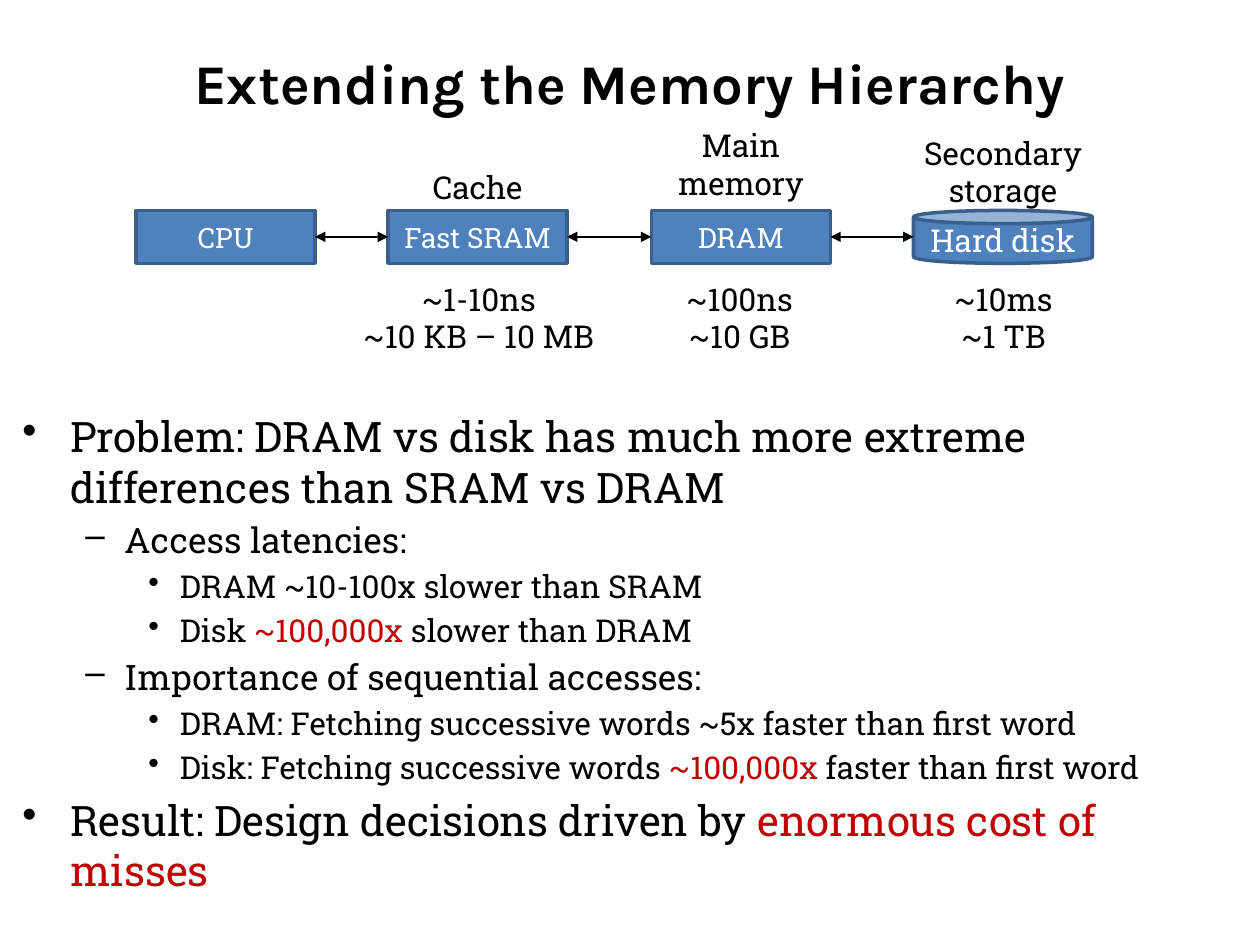
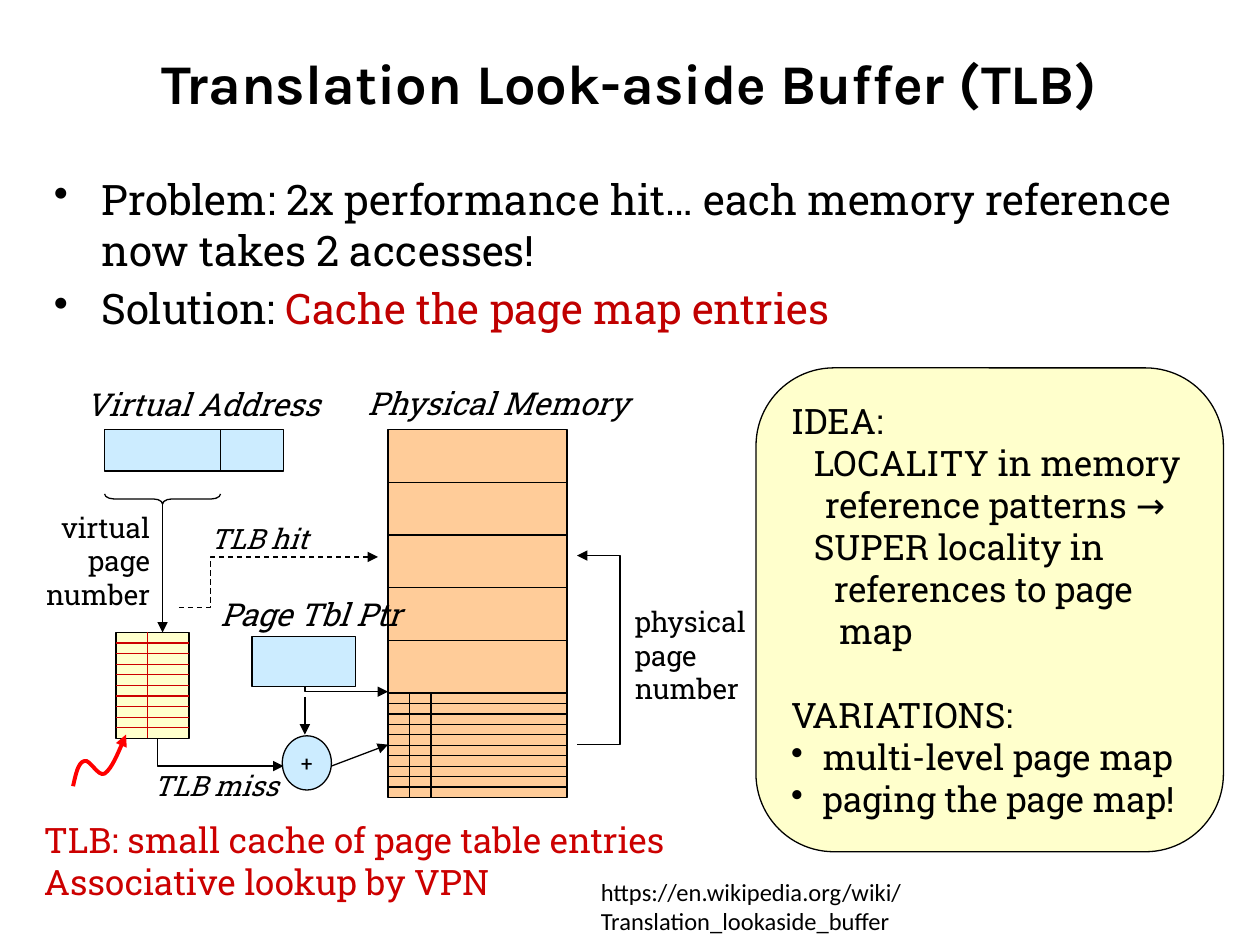
from dataclasses import dataclass
from typing import Any

from lxml.etree import SubElement
from pptx import Presentation
from pptx.dml.color import RGBColor
from pptx.enum.dml import MSO_LINE
from pptx.enum.shapes import MSO_CONNECTOR, MSO_SHAPE
from pptx.enum.text import MSO_ANCHOR, MSO_AUTO_SIZE, PP_ALIGN
from pptx.oxml.ns import qn
from pptx.util import Emu, Pt

PX = 9144
BLACK, WHITE, RED, DEEP_RED, BRIGHT_RED = "000000", "FFFFFF", "C00000", "CC0000", "FF0000"
BLUE, NAVY, SKY, CREAM, PEACH = "4F81BD", "3A5F8C", "CCECFF", "FFFFCC", "FFCC99"
BODY_FONT, TITLE_FONT, LINK_FONT = "Roboto Slab", "Karla", "Calibri"
LEFT, CENTER, RIGHT = PP_ALIGN.LEFT, PP_ALIGN.CENTER, PP_ALIGN.RIGHT
Point = tuple[float, float]
Box = tuple[int, int, int, int]


@dataclass
class Para:
    text: str
    size: int = 18
    margin: int = 0
    hang: int = 0
    bullet: str = ""
    before: float = 0


@dataclass
class Label:
    box: Box
    text: str
    size: int = 18
    align: PP_ALIGN = LEFT
    wrap: bool = False
    inset: int = 10
    italic: bool = False
    color: str = BLACK
    font: str = BODY_FONT


@dataclass
class Device:
    left: int
    name: str
    caption: str = ""
    caption_top: int = 0
    facts: str = ""
    facts_box: Box = (0, 0, 0, 0)
    shape: MSO_SHAPE = MSO_SHAPE.RECTANGLE
    size: int = 16


@dataclass
class Path:
    points: list[Point]
    color: str = BLACK
    width: float = 0.75
    dash: bool = False


def rgb(color: str) -> RGBColor:
    return RGBColor.from_string(color)


def px(*values: float) -> list[Emu]:
    return [Emu(round(v * PX)) for v in values]


def assign(obj: Any, values: dict[str, Any]) -> None:
    for name, value in values.items():
        setattr(obj, name, value)


def insets(side: int, top: int) -> dict[str, Any]:
    return dict(zip(("margin_left", "margin_right", "margin_top", "margin_bottom"),
                    px(side, side, top, top)))


def write(tf, paras: list[Para], align: PP_ALIGN = LEFT, color: str = BLACK,
          font: str = BODY_FONT, accent: str = RED, **style: Any) -> None:
    for i, para in enumerate(paras):
        p = tf.add_paragraph() if i else tf.paragraphs[0]
        pr = p._p.get_or_add_pPr()
        if para.margin:
            pr.set("marL", str(para.margin * PX))
            pr.set("indent", str(-para.hang * PX))
        if para.bullet:
            SubElement(pr, qn("a:buChar")).set("char", para.bullet)
        assign(p, {"alignment": align, "space_before": Pt(para.before)})
        for j, part in enumerate(para.text.split("*")):
            if part:
                r = p.add_run()
                r.text = part
                assign(r.font, {"name": font, "size": Pt(para.size), **style})
                r.font.color.rgb = rgb(accent if j % 2 else color)


def plain(text: str, size: int) -> list[Para]:
    return [Para(line, size) for line in text.split("\n")]


def add_label(s, label: Label) -> None:
    tf = s.shapes.add_textbox(*px(*label.box)).text_frame
    assign(tf, {"word_wrap": label.wrap, "auto_size": MSO_AUTO_SIZE.SHAPE_TO_FIT_TEXT,
                **insets(label.inset, label.inset // 2)})
    write(tf, plain(label.text, label.size), label.align, label.color, label.font,
          italic=label.italic)


def add_body(s, box: Box, paras: list[Para]) -> None:
    tf = s.shapes.add_textbox(*px(*box)).text_frame
    tf.word_wrap = True
    write(tf, paras)


def stroke(sp, color: str, width: float) -> None:
    sp.line.color.rgb = rgb(color)
    sp.line.width = Pt(width)


def arrow(sp, *ends: str) -> None:
    ln = sp.element.spPr.get_or_add_ln()
    for end in ends:
        SubElement(ln, qn(f"a:{end}")).set("type", "triangle")


def add_box(s, box: Box, fill: str = "", line: str = BLACK, width: float = 0.75,
            kind: MSO_SHAPE = MSO_SHAPE.RECTANGLE):
    sp = s.shapes.add_shape(kind, *px(*box))
    sp.shadow.inherit = False
    if fill:
        sp.fill.solid()
        sp.fill.fore_color.rgb = rgb(fill)
    else:
        sp.fill.background()
    stroke(sp, line, width)
    return sp


def add_line(s, start: Point, end: Point, color: str = BLACK, width: float = 0.75,
             ends: tuple[str, ...] = ()) -> None:
    sp = s.shapes.add_connector(MSO_CONNECTOR.STRAIGHT, *px(*start, *end))
    stroke(sp, color, width)
    arrow(sp, *ends)
    SubElement(sp.element.spPr, qn("a:effectLst"))


def add_path(s, path: Path) -> None:
    first, *rest = [tuple(px(*pt)) for pt in path.points]
    builder = s.shapes.build_freeform(*first)
    builder.add_line_segments(rest, close=False)
    sp = builder.convert_to_shape()
    sp.shadow.inherit = False
    sp.fill.background()
    stroke(sp, path.color, path.width)
    if path.dash:
        sp.line.dash_style = MSO_LINE.DASH
    arrow(sp, "tailEnd")


def add_dividers(s, left: int, right: int, top: int, bottom: int, rows: int,
                 color: str = BLACK) -> None:
    for i in range(1, rows):
        y = top + (bottom - top) * i / rows
        add_line(s, (left, y), (right, y), color)


def bezier(nodes: list[Point], steps: int = 8) -> list[Point]:
    points = [nodes[0]]
    for k in range(0, len(nodes) - 1, 3):
        for i in range(1, steps + 1):
            t = i / steps
            weights = ((1 - t) ** 3, 3 * t * (1 - t) ** 2, 3 * t * t * (1 - t), t ** 3)
            x, y = (sum(w * n[axis] for w, n in zip(weights, nodes[k:k + 4]))
                    for axis in (0, 1))
            points.append((x, y))
    return points


def add_slide(prs, title: str):
    s = prs.slides.add_slide(prs.slide_layouts[5])
    sp = s.shapes.title
    assign(sp, dict(zip(("left", "top", "width", "height"), px(50, 30, 900, 70))))
    sp.text_frame.vertical_anchor = MSO_ANCHOR.MIDDLE
    write(sp.text_frame, [Para(title, 32)], CENTER, font=TITLE_FONT, bold=True)
    return s


def point(text: str, level: int = 0, first: bool = False) -> Para:
    size, margin, hang, bullet = ((24, 38, 38, "•"), (20, 81, 31, "–"), (18, 125, 25, "•"))[level]
    return Para(text, size, margin, hang, bullet, 0 if first else size / 5)


def hierarchy_slide(prs) -> None:
    s = add_slide(prs, "Extending the Memory Hierarchy")
    add_body(s, (8, 321, 983, 396), [
        point("Problem: DRAM vs disk has much more extreme differences than SRAM vs DRAM", first=True),
        point("Access latencies:", 1),
        point("DRAM ~10-100x slower than SRAM", 2),
        point("Disk *~100,000x *slower than DRAM", 2),
        point("Importance of sequential accesses:", 1),
        point("DRAM: Fetching successive words ~5x faster than first word", 2),
        point("Disk: Fetching successive words *~100,000x *faster than first word", 2),
        point("Result: Design decisions driven by *enormous cost of misses"),
    ])
    top, width, height = 167, 142, 42
    devices = [
        Device(108, "CPU"),
        Device(308, "Fast SRAM", "Cache", 133, "~1-10ns\n~10 KB – 10 MB", (269, 217, 222, 71)),
        Device(517, "DRAM", "Main memory", 100, "~100ns\n~10 GB", (530, 217, 114, 71)),
        Device(725, "Hard disk", "Secondary storage", 106, "~10ms\n~1 TB", (745, 217, 103, 71),
               MSO_SHAPE.CAN, 18),
    ]
    for d in devices:
        sp = add_box(s, (d.left, top, width, height), BLUE, NAVY, 2, d.shape)
        assign(sp.text_frame, {"vertical_anchor": MSO_ANCHOR.MIDDLE, "word_wrap": True,
                               **insets(0, 5)})
        write(sp.text_frame, [Para(d.name, d.size)], CENTER, WHITE)
        if d.caption:
            add_label(s, Label((d.left, d.caption_top, width, top - d.caption_top), d.caption,
                               align=CENTER, wrap=True, inset=0))
            add_label(s, Label(d.facts_box, d.facts, align=CENTER))
    for a, b in zip(devices, devices[1:]):
        y = top + height // 2
        add_line(s, (a.left + width, y), (b.left, y), width=1, ends=("headEnd", "tailEnd"))


def tlb_slide(prs) -> None:
    s = add_slide(prs, "Translation Look-aside Buffer (TLB)")
    add_body(s, (33, 133, 933, 133), [
        point("Problem: 2x performance hit… each memory reference now takes 2 accesses!", first=True),
        point("Solution: *Cache the page map entries"),
    ])

    idea = add_box(s, (600, 292, 371, 384), CREAM, kind=MSO_SHAPE.ROUNDED_RECTANGLE)
    assign(idea.text_frame, {"vertical_anchor": MSO_ANCHOR.MIDDLE, "word_wrap": True,
                             "margin_right": 0})
    write(idea.text_frame, [
        Para("IDEA:", 20),
        Para("LOCALITY in memory", 20, 18),
        Para("reference patterns →", 20, 27),
        Para("SUPER locality in", 20, 18),
        Para("references to page", 20, 34),
        Para("map", 20, 38),
        Para("VARIATIONS:", 20, before=24),
        Para("multi-level page map", 20, 25, 25, "•"),
        Para("paging the page map!", 20, 25, 25, "•"),
    ])

    add_box(s, (92, 502, 58, 84), CREAM)
    add_dividers(s, 92, 150, 502, 586, 10, DEEP_RED)
    add_line(s, (117, 502), (117, 586), DEEP_RED)

    add_box(s, (83, 341, 142, 33), SKY)
    add_line(s, (175, 341), (175, 374))
    brace = add_box(s, (125, 350, 8, 92), kind=MSO_SHAPE.RIGHT_BRACE)
    brace.rotation = 90
    brace.adjustments[0] = 0.92

    add_box(s, (308, 341, 142, 292), PEACH)
    add_dividers(s, 308, 450, 341, 550, 5)
    add_line(s, (308, 550), (450, 550))
    add_dividers(s, 308, 450, 550, 633, 10)
    for x in (325, 342):
        add_line(s, (x, 550), (x, 633))

    add_box(s, (200, 505, 82, 40), SKY)
    adder = add_box(s, (224, 584, 39, 43), SKY, kind=MSO_SHAPE.OVAL)
    assign(adder.text_frame, {"vertical_anchor": MSO_ANCHOR.MIDDLE, **insets(0, 0)})
    write(adder.text_frame, [Para("+", 12)], CENTER)

    for start, end in (((242, 553), (242, 583)), ((263, 608), (308, 591)), ((129, 400), (129, 502))):
        add_line(s, start, end, ends=("tailEnd",))
    pointer = bezier([(58, 624), (60, 615), (62, 605), (67, 604), (71, 602), (78, 617),
                      (83, 614), (89, 610), (94, 597), (100, 583)])
    for path in (
        Path([(125, 586), (125, 608), (225, 608)]),
        Path([(458, 591), (492, 591), (492, 441), (458, 441)]),
        Path([(242, 545), (242, 549), (308, 549)]),
        Path([(142, 482), (167, 482), (167, 442), (300, 442)], dash=True),
        Path(pointer, BRIGHT_RED, 2.25),
    ):
        add_path(s, path)

    for label in (
        Label((58, 301, 217, 40), "Virtual Address", italic=True),
        Label((282, 300, 232, 40), "Physical Memory", italic=True),
        Label((165, 467, 172, 40), "Page Tbl Ptr", italic=True),
        Label((157, 409, 103, 37), "TLB hit", 16, italic=True),
        Label((112, 605, 126, 37), "TLB miss", 16, italic=True),
        Label((22, 400, 107, 91), "virtual\npage\nnumber", 16, RIGHT),
        Label((494, 475, 111, 91), "physical\npage\nnumber", 16),
        Label((25, 645, 550, 77), "TLB: small cache of page table entries\nAssociative lookup by VPN",
              20, wrap=True, color=DEEP_RED),
        Label((467, 691, 400, 57), "https://en.wikipedia.org/wiki/Translation_lookaside_buffer",
              14, wrap=True, font=LINK_FONT),
    ):
        add_label(s, label)


def main() -> None:
    prs = Presentation()
    assign(prs, dict(zip(("slide_width", "slide_height"), px(1000, 750))))
    hierarchy_slide(prs)
    tlb_slide(prs)
    prs.save("out.pptx")


if __name__ == "__main__":
    main()
